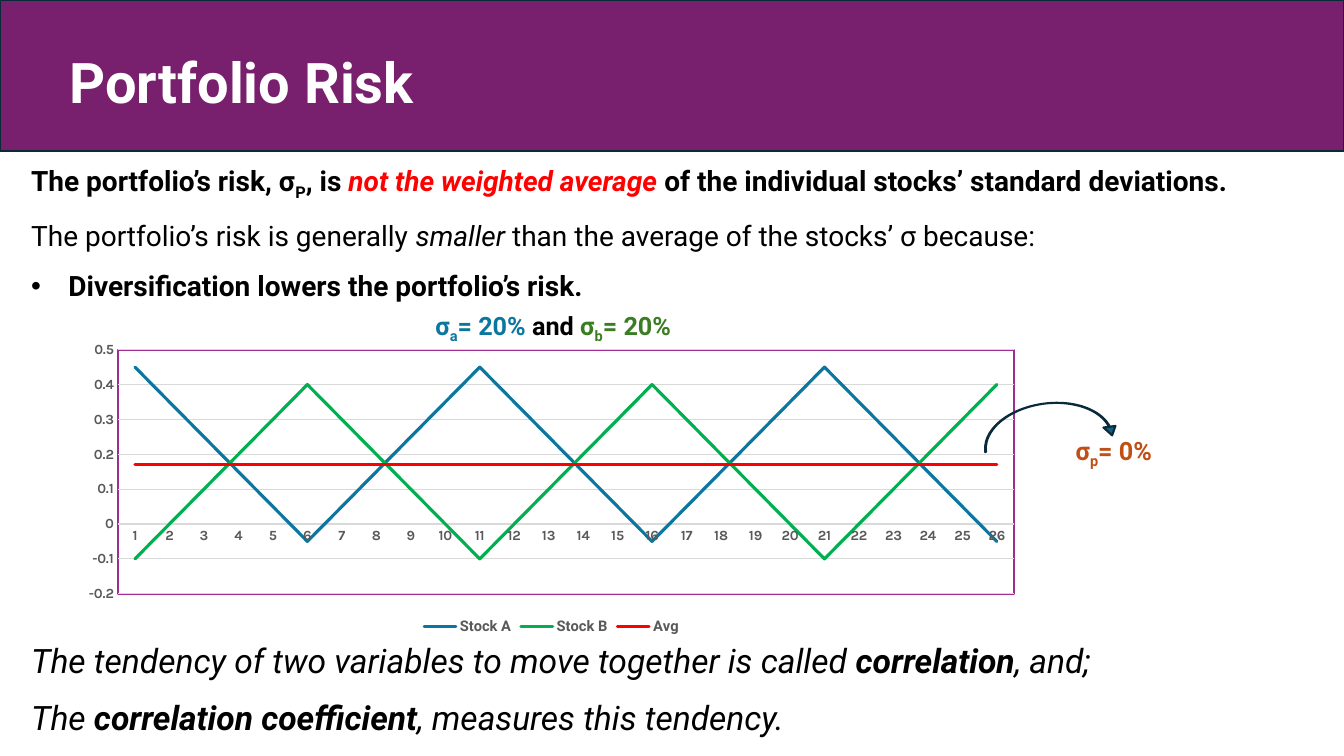
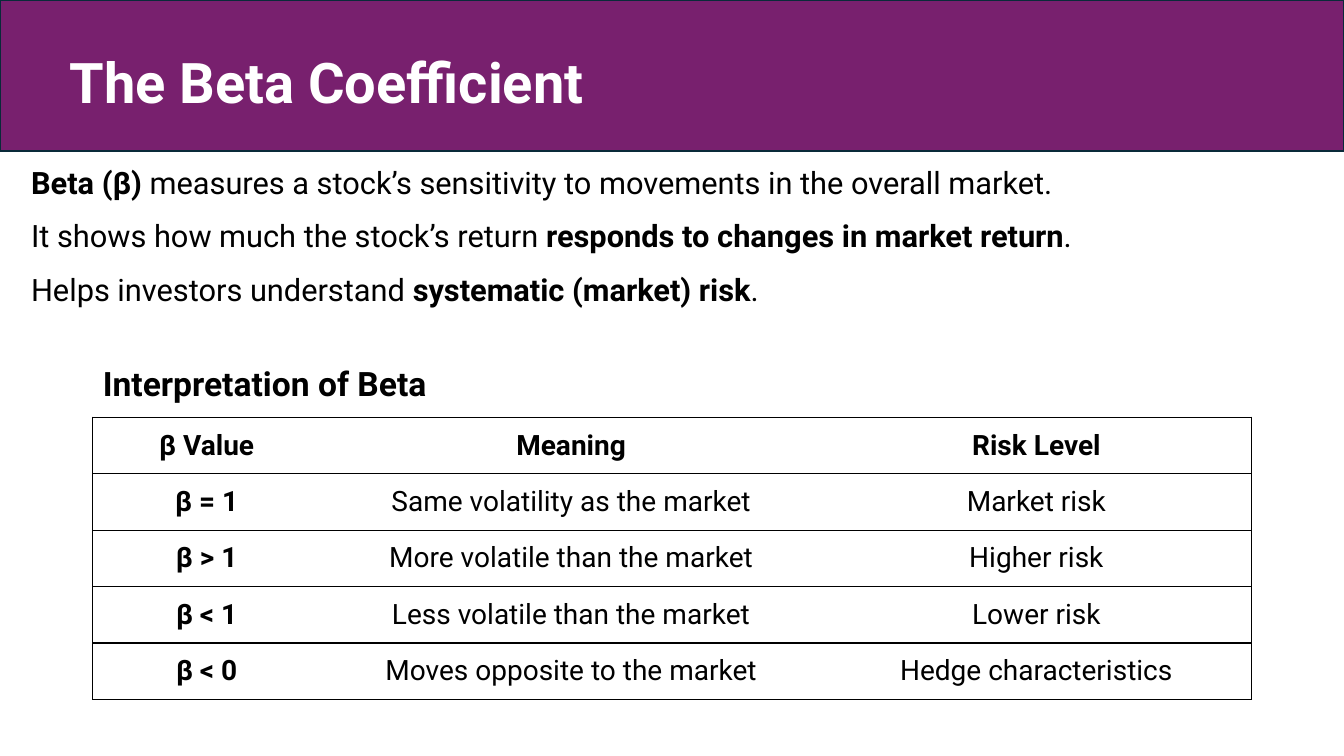
from pptx import Presentation
from pptx.chart.data import CategoryChartData
from pptx.dml.color import RGBColor
from pptx.enum.chart import XL_CHART_TYPE, XL_LEGEND_POSITION, XL_TICK_MARK
from pptx.enum.shapes import MSO_SHAPE
from pptx.enum.text import MSO_ANCHOR, PP_ALIGN
from pptx.oxml import parse_xml
from pptx.oxml.ns import nsdecls, qn
from pptx.util import Inches, Pt

COLORS = {
    "band": "78206E", "outline": "092A39", "arrow": "156082", "frame": "A02B93",
    "white": "FFFFFF", "black": "000000", "red": "FF0000", "blue": "0B76A0",
    "green": "00B050", "dark_green": "3B7D23", "orange": "C04F15",
    "gray": "595959", "grid": "D9D9D9",
}
FONT, CHART_FONT = "Roboto", "Karla"
NO_STYLE = "{2D5ABB26-0587-4C30-8999-92F81FD0307C}"
BOLD, ITALIC, SUB = {"bold": True}, {"italic": True}, {"sub": True}


def rgb(name):
    """Return the named colour."""
    return RGBColor.from_string(COLORS[name])


def style_font(font, size, color="black", bold=False, italic=False, name=FONT):
    """Set every property of a font."""
    font.name, font.size, font.bold, font.italic = name, Pt(size), bold, italic
    font.color.rgb = rgb(color)


def add_text(paragraph, text, sub=False, **style):
    """Append one formatted run to a paragraph."""
    run = paragraph.add_run()
    run.text = text
    style_font(run.font, **style)
    if sub:
        run.font._element.set("baseline", "-25000")


def set_line(line, color, width):
    """Give a line a colour and a width in points."""
    line.color.rgb = rgb(color)
    line.width = Pt(width)


def add_bullet(paragraph, indent):
    """Hang a round bullet in front of a paragraph."""
    properties = paragraph._p.get_or_add_pPr()
    properties.set("marL", str(Inches(indent)))
    properties.set("indent", str(-Inches(indent)))
    properties.append(parse_xml(f'<a:buFont {nsdecls("a")} typeface="Arial"/>'))
    properties.append(parse_xml(f'<a:buChar {nsdecls("a")} char="•"/>'))


def add_text_box(slide, box, paragraphs, bulleted=(), wrap=True, anchor=MSO_ANCHOR.TOP,
                 line_spacing=None, **style):
    """Place paragraphs, each a list of (text, format) runs, in a box."""
    frame = slide.shapes.add_textbox(*map(Inches, box)).text_frame
    frame.word_wrap = wrap
    frame.vertical_anchor = anchor
    for index, runs in enumerate(paragraphs):
        paragraph = frame.add_paragraph() if index else frame.paragraphs[0]
        if index in bulleted:
            add_bullet(paragraph, 0.37)
        if index:
            paragraph.space_before = Pt(6)
        if len(paragraphs) > 1:
            paragraph.space_after = Pt(6)
        if line_spacing:
            paragraph.line_spacing = line_spacing
        for text, run_style in runs:
            add_text(paragraph, text, **{**style, **run_style})


def add_shape(slide, kind, box, fill, line):
    """Place a filled and outlined preset shape."""
    shape = slide.shapes.add_shape(kind, *map(Inches, box))
    shape.shadow.inherit = False
    shape.fill.solid()
    shape.fill.fore_color.rgb = rgb(fill)
    set_line(shape.line, line, 1.5)
    return shape


def add_titled_slide(presentation, title):
    """Add a blank slide with the title band."""
    slide = presentation.slides.add_slide(presentation.slide_layouts[6])
    add_shape(slide, MSO_SHAPE.RECTANGLE, (0, 0, 13.33, 1.5), "band", "outline")
    add_text_box(slide, (0.59, 0.31, 12.14, 1.07), [[(title, BOLD)]], size=40,
                 color="white", anchor=MSO_ANCHOR.MIDDLE, line_spacing=0.9)
    return slide


def frame_plot(chart, x, y, width, height):
    """Fix the plot position as fractions of the chart and outline it."""
    plot_area = chart._chartSpace.chart.plotArea
    for layout in plot_area.findall(qn("c:layout")):
        plot_area.remove(layout)
    places = "".join(f'<c:{tag} val="{value}"/>' for tag, value in
                     zip("xywh", (x, y, width, height)))
    plot_area.insert(0, parse_xml(
        f'<c:layout {nsdecls("c")}><c:manualLayout><c:layoutTarget val="inner"/>'
        f'<c:xMode val="edge"/><c:yMode val="edge"/>{places}</c:manualLayout></c:layout>'))
    plot_area.append(parse_xml(
        f'<c:spPr {nsdecls("c", "a")}><a:solidFill><a:srgbClr val="{COLORS["white"]}"/>'
        f'</a:solidFill><a:ln w="{Pt(1.5)}"><a:solidFill><a:srgbClr val="{COLORS["frame"]}"/>'
        '</a:solidFill></a:ln></c:spPr>'))


def add_returns_chart(slide, box):
    """Chart two opposite zigzag stocks and their flat average."""
    steps = [min(period % 10, 10 - period % 10) for period in range(26)]
    stock_a = [round(0.45 - 0.1 * step, 2) for step in steps]
    stock_b = [round(-0.1 + 0.1 * step, 2) for step in steps]
    data = CategoryChartData()
    data.categories = [str(period + 1) for period in range(26)]
    data.add_series("Stock A", stock_a)
    data.add_series("Stock B", stock_b)
    data.add_series("Avg", [0.17] * 26)
    chart = slide.shapes.add_chart(XL_CHART_TYPE.LINE, *map(Inches, box), data).chart
    chart.has_title = False
    style_font(chart.font, 10, name=CHART_FONT)
    plot = chart.plots[0]
    plot.vary_by_categories = False
    for series, color in zip(plot.series, ("blue", "green", "red")):
        series.smooth = False
        set_line(series.format.line, color, 2.25)
        series.format.line._get_or_add_ln().set("cap", "rnd")
    for axis in (chart.category_axis, chart.value_axis):
        axis.major_tick_mark = axis.minor_tick_mark = XL_TICK_MARK.NONE
        style_font(axis.tick_labels.font, 10, "gray", bold=True, name=CHART_FONT)
    set_line(chart.category_axis.format.line, "grid", 0.75)
    values = chart.value_axis
    values.minimum_scale, values.maximum_scale, values.major_unit = -0.2, 0.5, 0.1
    values.format.line.fill.background()
    set_line(values.major_gridlines.format.line, "grid", 0.75)
    chart.has_legend = True
    chart.legend.position = XL_LEGEND_POSITION.BOTTOM
    chart.legend.include_in_layout = False
    style_font(chart.legend.font, 10.5, "gray", bold=True)
    frame_plot(chart, 0.05, 0.04, 0.93, 0.81)


def sigma(letter, value, color):
    """Return the runs of a subscripted standard deviation."""
    return [("σ", {"color": color}), (letter, {"color": color, **SUB}),
            (f"= {value}", {"color": color})]


def add_callout(slide, left, top):
    """Place the curved arrow and the portfolio deviation it points to."""
    arrow = add_shape(slide, MSO_SHAPE.CURVED_DOWN_ARROW, (left, top, 1.33, 0.4),
                      "arrow", "outline")
    arrow.rotation = -7.5
    for index, value in enumerate((0.02, 0.3, 0.22)):
        arrow.adjustments[index] = value
    add_text_box(slide, (left + 0.83, top + 0.27, 1.04, 0.4), [sigma("p", "0%", "orange")],
                 wrap=False, size=18, bold=True)


def set_borders(cell, sides):
    """Draw thin black borders on the given sides of a cell."""
    properties = cell._tc.get_or_add_tcPr()
    for index, side in enumerate(side for side in "LRTB" if side in sides):
        properties.insert(index, parse_xml(
            f'<a:ln{side} {nsdecls("a")} w="{Pt(1)}"><a:solidFill>'
            f'<a:srgbClr val="{COLORS["black"]}"/></a:solidFill></a:ln{side}>'))


def add_beta_table(slide, box, title, rows):
    """Place a table with a merged title row above a ruled grid."""
    table = slide.shapes.add_table(len(rows) + 1, 3, *map(Inches, box)).table
    table.first_row = table.horz_banding = False
    table._tbl.tblPr.find(qn("a:tableStyleId")).text = NO_STYLE
    for column, width in zip(table.columns, (2.26, 4.97, 4.26)):
        column.width = Inches(width)
    for index, row in enumerate(table.rows):
        row.height = Inches(0.56 if index else 0.64)
    table.cell(0, 0).merge(table.cell(0, 2))
    for row_index, texts in enumerate([[title, "", ""], *rows]):
        for column_index, text in enumerate(texts):
            cell = table.cell(row_index, column_index)
            cell.fill.solid()
            cell.fill.fore_color.rgb = rgb("white")
            cell.vertical_anchor = MSO_ANCHOR.MIDDLE
            sides = "TB" + {0: "L", 2: "R"}.get(column_index, "")
            set_borders(cell, sides if row_index else "B")
            if text:
                paragraph = cell.text_frame.paragraphs[0]
                paragraph.alignment = PP_ALIGN.CENTER if row_index else PP_ALIGN.LEFT
                add_text(paragraph, text, size=20 if row_index else 24,
                         bold=row_index < 2 or column_index == 0)


def build_risk_slide(presentation):
    """Build the portfolio risk slide."""
    slide = add_titled_slide(presentation, "Portfolio Risk")
    add_text_box(slide, (0.21, 1.57, 12.92, 1.45), [
        [("The portfolio’s risk, σ", BOLD), ("P", {**BOLD, **SUB}), (", is ", BOLD),
         ("not the weighted average ", {**BOLD, **ITALIC, "color": "red"}),
         ("of the individual stocks’ standard deviations.", BOLD)],
        [("The portfolio’s risk is generally ", {}), ("smaller", ITALIC),
         (" than the average of the stocks’ σ because:", {})],
        [("Diversification lowers the portfolio’s risk.", BOLD)],
    ], bulleted=(2,), size=20)
    add_returns_chart(slide, (0.69, 3.35, 9.56, 2.99))
    add_text_box(slide, (4.22, 3.03, 2.74, 0.4), [
        sigma("a", "20%", "blue") + [(" and ", {})] + sigma("b", "20%", "dark_green"),
    ], wrap=False, size=18, bold=True)
    add_callout(slide, 9.74, 4)
    add_text_box(slide, (0.21, 6.3, 12.79, 1.08), [
        [("The tendency of two variables to move together is called ", {}),
         ("correlation", BOLD), (", and;", {})],
        [("The ", {}), ("correlation coefficient", BOLD),
         (", measures this tendency.", {})],
    ], size=24, italic=True)


def build_beta_slide(presentation):
    """Build the beta coefficient slide."""
    slide = add_titled_slide(presentation, "The Beta Coefficient")
    add_text_box(slide, (0.21, 1.57, 12.92, 1.58), [
        [("Beta (β) ", BOLD),
         ("measures a stock’s sensitivity to movements in the overall market.", {})],
        [("It shows how much the stock’s return ", {}),
         ("responds to changes in market return", BOLD), (".", {})],
        [("Helps investors understand ", {}),
         ("systematic (market) risk", BOLD), (".", {})],
    ], size=22)
    add_beta_table(slide, (0.92, 3.5, 11.49, 3.44), "Interpretation of Beta", [
        ["β Value", "Meaning", "Risk Level"],
        ["β = 1", "Same volatility as the market", "Market risk"],
        ["β > 1", "More volatile than the market", "Higher risk"],
        ["β < 1", "Less volatile than the market", "Lower risk"],
        ["β < 0", "Moves opposite to the market", "Hedge characteristics"],
    ])


def main():
    """Build and save the presentation."""
    presentation = Presentation()
    presentation.slide_width = Inches(13.33)
    presentation.slide_height = Inches(7.5)
    build_risk_slide(presentation)
    build_beta_slide(presentation)
    presentation.save("out.pptx")


if __name__ == "__main__":
    main()
